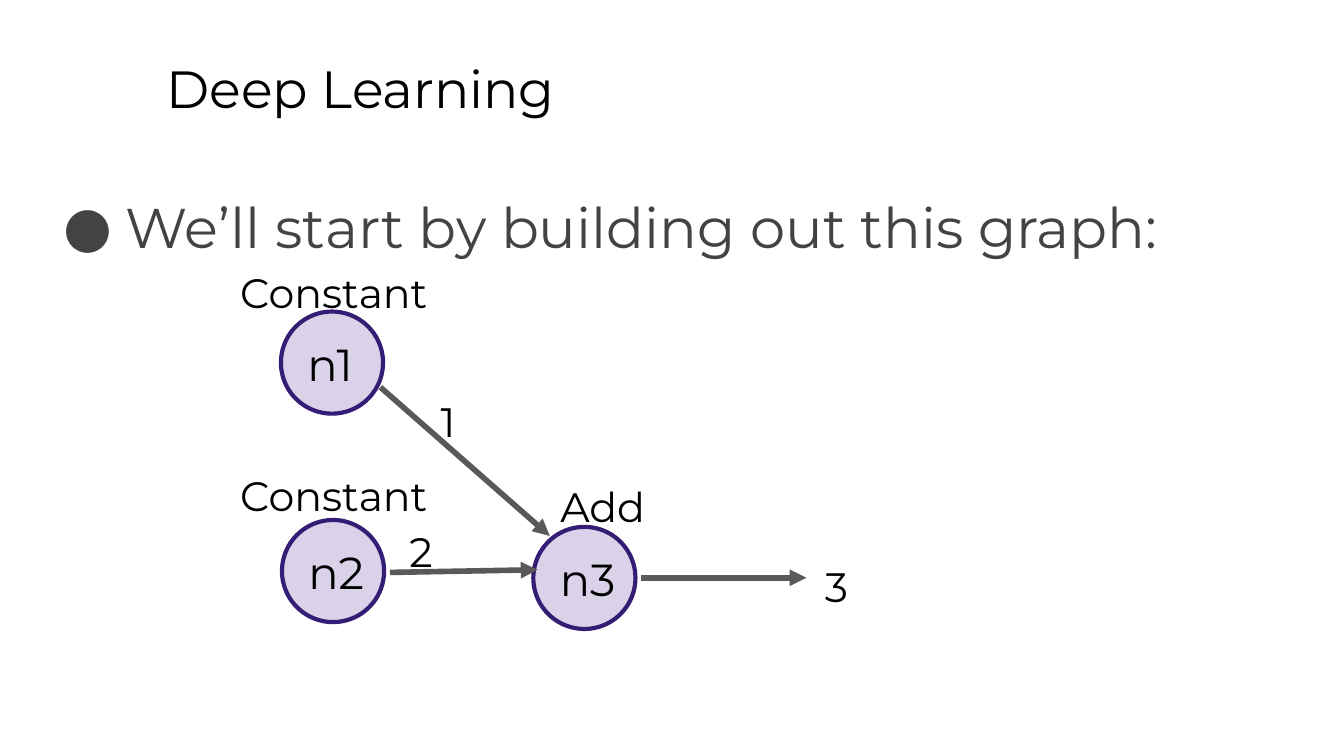
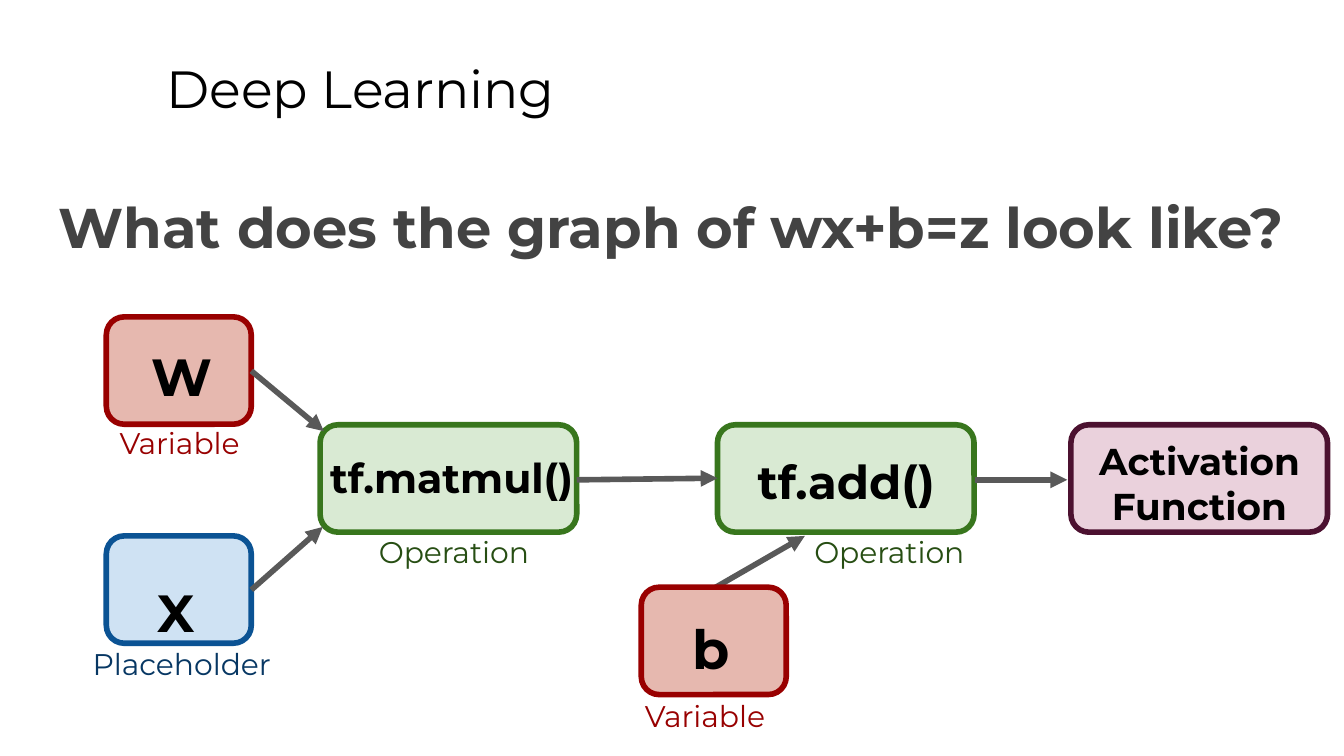
from dataclasses import dataclass

from lxml.etree import SubElement
from pptx import Presentation
from pptx.dml.color import RGBColor
from pptx.enum.shapes import MSO_CONNECTOR, MSO_SHAPE
from pptx.enum.text import MSO_ANCHOR, MSO_AUTO_SIZE, PP_ALIGN
from pptx.oxml.ns import qn
from pptx.shapes.base import BaseShape
from pptx.slide import Slide
from pptx.util import Cm, Pt

FONT = "Montserrat"
COLORS = {
    "white": "FFFFFF", "black": "000000", "body": "434343", "arrow": "595959",
    "lilac": "D9D2E9", "violet": "351C75",
    "rose": "E6B8AF", "red": "990000", "red text": "980000",
    "sky": "CFE2F3", "blue": "0B5394", "blue text": "073763",
    "mint": "D9EAD3", "green": "38761D", "green text": "274E13",
    "pink": "EAD1DC", "plum": "4C1130",
}
# All lengths below are centimetres.
CIRCLE = 1.93
BOX_TALL = 2.03
SMALL, WIDE = 2.74, 4.85
ROW = 8.03


@dataclass
class Label:
    """Free text at a place, with its format."""
    text: str
    left: float
    top: float
    width: float
    height: float = 1.02
    size: float = 16
    color: str = "black"
    bold: bool = False
    align: PP_ALIGN = PP_ALIGN.LEFT


@dataclass
class Node:
    """A filled and outlined shape of a graph."""
    left: float
    top: float
    width: float
    fill: str
    line: str
    height: float = BOX_TALL
    kind: MSO_SHAPE = MSO_SHAPE.ROUNDED_RECTANGLE
    weight: float = 3


@dataclass
class Edge:
    """An arrow between two points."""
    x1: float
    y1: float
    x2: float
    y2: float


def rgb(name: str) -> RGBColor:
    """Look up a colour by name."""
    return RGBColor.from_string(COLORS[name])


def write(shape: BaseShape, text: str, *, size: float, color: str = "black",
          bold: bool = False, align: PP_ALIGN = PP_ALIGN.LEFT,
          space: float = 1, after: float = 0, bullet: bool = False) -> None:
    """Put formatted text into a shape."""
    frame = shape.text_frame
    frame.word_wrap = True
    frame.auto_size = MSO_AUTO_SIZE.NONE
    frame.vertical_anchor = MSO_ANCHOR.TOP
    frame.margin_left = frame.margin_right = Cm(0.25)
    frame.margin_top = frame.margin_bottom = Cm(0.25)
    para = frame.paragraphs[0]
    para.alignment = align
    para.line_spacing = space
    para.space_before, para.space_after = Pt(0), Pt(after)
    run = para.add_run()
    run.text = text
    run.font.name, run.font.size, run.font.bold = FONT, Pt(size), bold
    run.font.color.rgb = rgb(color)
    if bullet:
        props = para._p.get_or_add_pPr()
        props.set("marL", str(Cm(1.27)))
        props.set("indent", str(Cm(-1.17)))
        tint = SubElement(props, qn("a:buClr"))
        SubElement(tint, qn("a:srgbClr")).set("val", COLORS[color])
        SubElement(props, qn("a:buFont")).set("typeface", FONT)
        SubElement(props, qn("a:buChar")).set("char", "●")


def draw_label(slide: Slide, item: Label) -> None:
    """Draw a label as a text box."""
    box = slide.shapes.add_textbox(Cm(item.left), Cm(item.top),
                                   Cm(item.width), Cm(item.height))
    write(box, item.text, size=item.size, color=item.color,
          bold=item.bold, align=item.align)


def draw_node(slide: Slide, node: Node) -> None:
    """Draw a node of a graph."""
    shape = slide.shapes.add_shape(node.kind, Cm(node.left), Cm(node.top),
                                   Cm(node.width), Cm(node.height))
    shape.shadow.inherit = False
    shape.fill.solid()
    shape.fill.fore_color.rgb = rgb(node.fill)
    shape.line.color.rgb = rgb(node.line)
    shape.line.width = Pt(node.weight)


def draw_edge(slide: Slide, edge: Edge) -> None:
    """Draw an arrow with a triangle at its end."""
    arrow = slide.shapes.add_connector(MSO_CONNECTOR.STRAIGHT, Cm(edge.x1),
                                       Cm(edge.y1), Cm(edge.x2), Cm(edge.y2))
    arrow.line.color.rgb = rgb("arrow")
    arrow.line.width = Pt(3)
    SubElement(arrow.line._get_or_add_ln(), qn("a:tailEnd")).set("type", "triangle")
    SubElement(arrow._element.spPr, qn("a:effectLst"))


def start(deck: Presentation, text: str, *, height: float, bold: bool = False,
          after: float = 0, bullet: bool = False) -> Slide:
    """Add a slide with the shared title and a line of body text."""
    slide = deck.slides.add_slide(deck.slide_layouts[5])
    slide.background.fill.solid()
    slide.background.fill.fore_color.rgb = rgb("white")
    title = slide.shapes.title
    title.left, title.top = Cm(2.9), Cm(0.81)
    title.width, title.height = Cm(21.64), Cm(1.6)
    write(title, "Deep Learning", size=28)
    body = slide.shapes.add_textbox(Cm(0.86), Cm(3.2), Cm(23.67), Cm(height))
    write(body, text, size=30, color="body", bold=bold, space=1.15,
          after=after, bullet=bullet)
    return slide


def sum_slide(deck: Presentation) -> None:
    """Build the graph that adds two constants."""
    slide = start(deck, "We’ll start by building out this graph:",
                  height=1.6, bullet=True)
    spots = [("n1", 5.31, 5.89), ("n2", 5.33, 9.83), ("n3", 10.08, 9.96)]
    for name, left, top in spots:
        draw_node(slide, Node(left, top, CIRCLE, "lilac", "violet",
                              CIRCLE, MSO_SHAPE.OVAL, 2.25))
        draw_label(slide, Label(name, left + 0.25, top + 0.22, 1.57, 0.86, 24))
    edges = [Edge(7.19, 7.32, 10.39, 10.13),
             Edge(7.37, 10.82, 10.16, 10.77),
             Edge(12.12, 10.92, 15.24, 10.92)]
    for edge in edges:
        draw_edge(slide, edge)
    marks = [("Constant", 4.29, 4.8), ("Constant", 4.29, 8.64),
             ("Add", 10.34, 8.86), ("3", 15.34, 10.36),
             ("1", 8.08, 7.24), ("2", 7.49, 9.7)]
    for text, left, top in marks:
        draw_label(slide, Label(text, left, top, 4.17, 0.86, 22))


def flow_slide(deck: Presentation) -> None:
    """Build the graph of wx+b=z."""
    slide = start(deck, "What does the graph of wx+b=z look like?",
                  height=9.5, bold=True, after=16)
    back = [Node(2.01, 5.99, SMALL, "rose", "red"),
            Node(2.01, 10.13, SMALL, "sky", "blue"),
            Node(6.05, ROW, WIDE, "mint", "green"),
            Node(13.56, ROW, WIDE, "mint", "green")]
    edges = [Edge(4.75, 7.01, 6.12, 8.15),
             Edge(4.75, 11.15, 6.1, 9.96),
             Edge(13.44, 11.15, 15.21, 10.13),
             Edge(10.9, 9.07, 13.56, 9.04),
             Edge(18.42, 9.07, 20.17, 9.07)]
    front = [Node(12.12, 11.1, SMALL, "rose", "red"),
             Node(20.24, ROW, WIDE, "pink", "plum")]
    names = [("W", 2.62, 6.25, 1.35, 28), ("X", 2.72, 10.72, 1.35, 28),
             ("b", 12.83, 11.38, 1.35, 29),
             ("tf.matmul()", 5.99, 8.31, 5.72, 22),
             ("tf.add()", 14.07, 8.31, 4.7, 25)]
    roles = [Label("Variable", 2.01, 7.77, 3.07, color="red text"),
             Label("Variable", 11.94, 12.93, 3.07, color="red text"),
             Label("Placeholder", 1.5, 11.96, 3.99, color="blue text"),
             Label("Operation", 6.91, 9.83, 3.66, color="green text"),
             Label("Operation", 15.14, 9.83, 3.66, color="green text")]
    for node in back:
        draw_node(slide, node)
    for edge in edges:
        draw_edge(slide, edge)
    for node in front:
        draw_node(slide, node)
    for text, left, top, width, size in names:
        draw_label(slide, Label(text, left, top, width, size=size, bold=True))
    for role in roles:
        draw_label(slide, role)
    draw_label(slide, Label("Activation Function", 20.32, ROW, 4.7, size=20,
                            bold=True, align=PP_ALIGN.CENTER))


def main() -> None:
    """Build and save the deck."""
    deck = Presentation()
    deck.slide_width, deck.slide_height = Cm(25.4), Cm(14.29)
    sum_slide(deck)
    flow_slide(deck)
    deck.save("out.pptx")


main()
